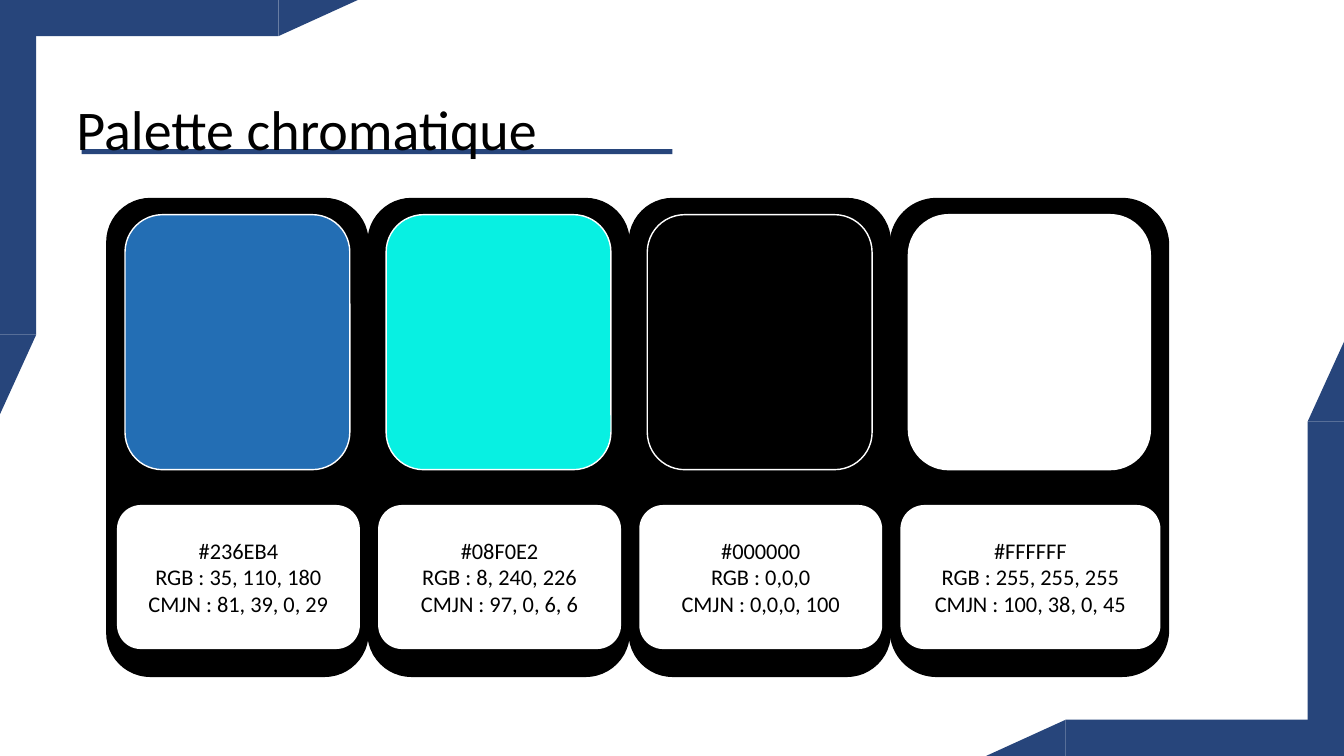
from pptx import Presentation
from pptx.dml.color import RGBColor
from pptx.enum.shapes import MSO_SHAPE as Geo
from pptx.enum.text import MSO_ANCHOR as Anchor, PP_ALIGN as Align
from pptx.util import Pt

SCALE = 9144  # EMU per px, 100 px to the inch
WIDE, HIGH = 1333, 750
NAVY, BLACK, WHITE = "27457B", "000000", "FFFFFF"


def px(n):
    return n * SCALE


def color(code):
    return RGBColor.from_string(code)


class Deck:
    font = "Calibri"

    def __init__(self):
        self.prs = Presentation()
        self.prs.slide_width, self.prs.slide_height = px(WIDE), px(HIGH)
        self.slide = self.prs.slides.add_slide(self.prs.slide_layouts[6])

    def shape(self, geo, x, y, w, h, fill, line=None):
        item = self.slide.shapes.add_shape(geo, px(x), px(y), px(w), px(h))
        item.shadow.inherit = False
        item.fill.solid()
        item.fill.fore_color.rgb = color(fill)
        if line:
            item.line.color.rgb = color(line)
            item.line.width = Pt(1)
        else:
            item.line.fill.background()
        return item

    def text(self, para, words, size):
        run = para.add_run()
        run.text = words
        run.font.name = self.font
        run.font.size = Pt(size)
        run.font.color.rgb = color(BLACK)

    def title(self, words, x, y, w, h):
        box = self.slide.shapes.add_textbox(px(x), px(y), px(w), px(h))
        box.text_frame.word_wrap = False
        self.text(box.text_frame.paragraphs[0], words, 40)

    def label(self, lines, x, y, w, h):
        frame = self.shape(Geo.ROUNDED_RECTANGLE, x, y, w, h, WHITE).text_frame
        frame.word_wrap = True
        frame.vertical_anchor = Anchor.MIDDLE
        for i, words in enumerate(lines):
            para = frame.add_paragraph() if i else frame.paragraphs[0]
            para.alignment = Align.CENTER
            self.text(para, words, 16)

    def corner(self, turned):
        """Draw the top left frame, or the same turned half round at bottom right."""
        for geo, x, y, w, h in (
            (Geo.RECTANGLE, 0, 0, 36, 332),
            (Geo.RECTANGLE, 0, 0, 276, 36),
            (Geo.RIGHT_TRIANGLE, 276, 0, 79, 36),
            (Geo.RIGHT_TRIANGLE, 0, 332, 36, 79),
        ):
            if turned:
                x, y = WIDE - x - w, HIGH - y - h
            item = self.shape(geo, x, y, w, h, NAVY)
            if geo == Geo.RIGHT_TRIANGLE:
                item.rotation = 180 if turned else 0
                item._element.spPr.xfrm.set("flipV", "1")

    def card(self, x, w, code, rgb, cmyk):
        round_box = Geo.ROUNDED_RECTANGLE
        self.shape(round_box, x, 197, w, 474, BLACK, BLACK)
        self.shape(round_box, x + 18, 213, w - 36, 253, code, WHITE)
        lines = (f"#{code}", f"RGB : {rgb}", f"CMJN : {cmyk}")
        self.label(lines, x + 10, 501, w - 18, 143)


def main():
    deck = Deck()
    deck.corner(True)
    deck.corner(False)
    deck.shape(Geo.RECTANGLE, 81, 148, 586, 5, NAVY)
    deck.title("Palette chromatique", 66, 89, 578, 77)

    step = 259
    cards = (
        (step, "236EB4", "35, 110, 180", "81, 39, 0, 29"),
        (step, "08F0E2", "8, 240, 226", "97, 0, 6, 6"),
        (step, BLACK, "0,0,0", "0,0,0, 100"),
        (276, WHITE, "255, 255, 255", "100, 38, 0, 45"),
    )
    for i, card in enumerate(cards):
        deck.card(106 + i * step, *card)
    deck.prs.save("out.pptx")


if __name__ == "__main__":
    main()
